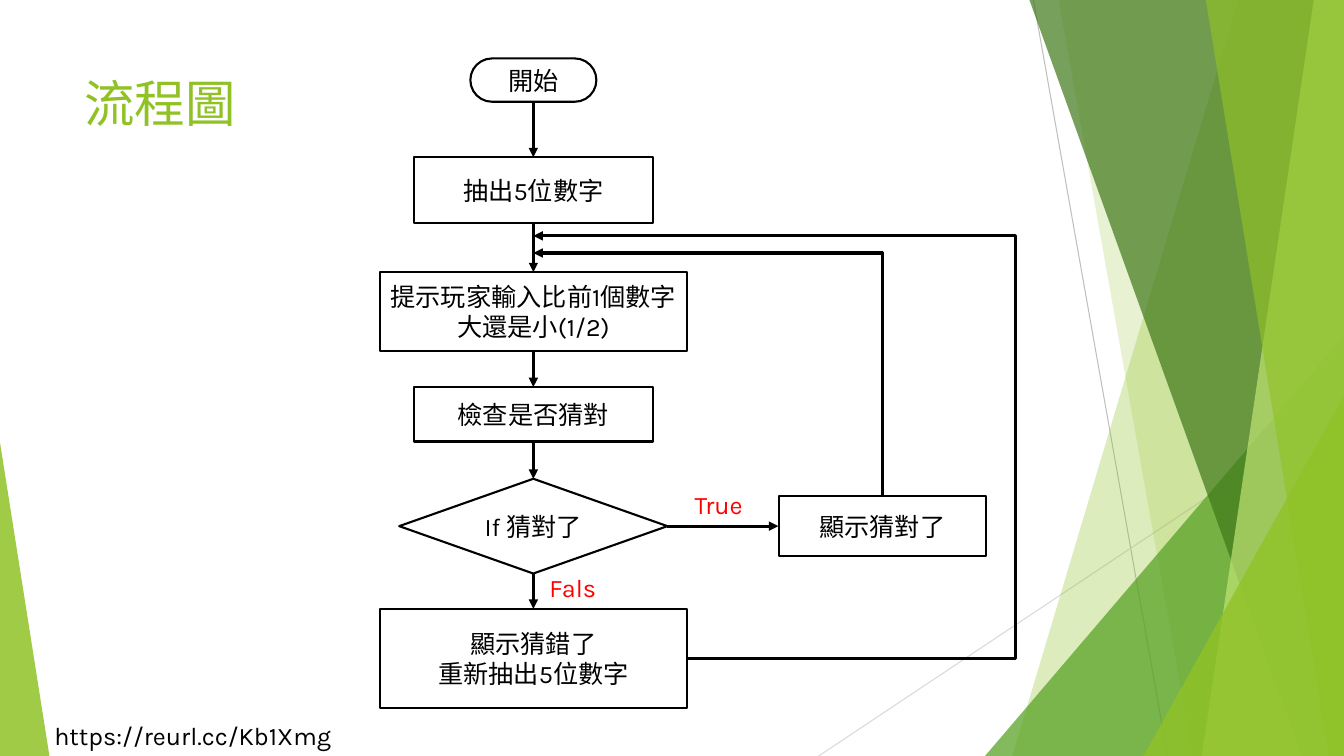
from dataclasses import dataclass

import lxml.etree
import pptx
import pptx.dml.color
import pptx.enum.shapes
import pptx.enum.text
import pptx.oxml.ns
import pptx.util

Inches = pptx.util.Inches
Preset = pptx.enum.shapes.MSO_SHAPE
Anchor = pptx.enum.text.MSO_ANCHOR
Align = pptx.enum.text.PP_ALIGN
qn = pptx.oxml.ns.qn

FONT = "Karla"
WIDTH, HEIGHT = 13.33, 7.5
AXIS = 5.29
COLORS = {
    "black": "000000", "white": "FFFFFF", "red": "FF0000",
    "lime": "90C226", "green": "54A021", "forest": "3F7819", "pale": "C0E474",
    "gray": "BFBFBF", "light_gray": "D9D9D9",
}


@dataclass
class Band:
    top_x: float
    bottom_x: float
    color: str
    opacity: int


@dataclass
class Corner:
    left: float
    top: float
    width: float
    apex: float
    color: str
    opacity: int


@dataclass
class Step:
    center_x: float
    top: float
    width: float
    height: float
    lines: list[str]
    preset: Preset = Preset.RECTANGLE


@dataclass
class Label:
    left: float
    top: float
    width: float
    height: float
    text: str
    color: str
    size: int = 18
    wrap: bool = False


@dataclass
class Link:
    start: tuple[float, float]
    end: tuple[float, float]
    color: str = "black"
    width: float = 2.25
    arrow: str | None = "tailEnd"
    preset: str = "line"
    bend: int | None = None


DECORATION = [
    Band(12.28, 10.04, "lime", 30),
    Band(10.5, 11.83, "lime", 20),
    Corner(9.77, 3.33, 3.56, 1, "green", 72),
    Band(10.21, 12.91, "forest", 70),
    Band(13.03, 11.92, "pale", 70),
    Band(11.96, 13.18, "lime", 65),
    Corner(11.34, 3.93, 1.99, 1, "lime", 80),
    Corner(0, 4.39, 0.49, 0, "lime", 85),
]
THIN_LINES = [
    Link((10.25, 0), (11.58, HEIGHT), "gray", 0.75, None),
    Link((WIDTH, 4.03), (8.12, HEIGHT), "light_gray", 0.75, None),
]
FLOW = [
    Step(AXIS, 0.58, 1.25, 0.43, ["開始"], Preset.ROUNDED_RECTANGLE),
    Step(AXIS, 1.56, 2.37, 0.65, ["抽出5位數字"]),
    Step(AXIS, 2.7, 3.05, 0.78, ["提示玩家輸入比前1個數字大還是小(1/2)"]),
    Step(AXIS, 3.84, 2.37, 0.54, ["檢查是否猜對"]),
    Step(AXIS, 4.75, 2.66, 0.94, ["If 猜對了"], Preset.DIAMOND),
    Step(AXIS, 6.04, 3.05, 0.98, ["顯示猜錯了", "重新抽出5位數字"]),
]
CORRECT = Step(8.75, 4.92, 2.05, 0.6, ["顯示猜對了"])
LABELS = [
    Label(0.44, 7.1, 3.06, 0.4, "https://reurl.cc/Kb1Xmg", "black"),
    Label(0.74, 0.67, 9.4, 1.44, "流程圖", "lime", 36, True),
    Label(6.79, 4.81, 0.7, 0.4, "True", "red"),
    Label(5.35, 5.63, 0.78, 0.4, "False", "red"),
]
BRANCHES = [
    Link((6.62, 5.22), (7.72, 5.22)),
    Link((6.81, 6.53), (AXIS, 2.34), preset="bentConnector3", bend=-214800),
    Link((AXIS, 2.51), (8.75, 4.92), arrow="headEnd", preset="bentConnector2"),
]


def rgb(name: str) -> pptx.dml.color.RGBColor:
    return pptx.dml.color.RGBColor.from_string(COLORS[name])


def add_run(paragraph, text: str, color: str, size: int) -> None:
    run = paragraph.add_run()
    run.text = text
    run.font.name = FONT
    run.font.size = pptx.util.Pt(size)
    run.font.color.rgb = rgb(color)


def draw_decoration(slide, item: Band | Corner) -> None:
    if isinstance(item, Band):
        builder = slide.shapes.build_freeform(Inches(item.top_x), 0)
        corners = [(WIDTH, 0), (WIDTH, HEIGHT), (item.bottom_x, HEIGHT)]
        builder.add_line_segments([(Inches(x), Inches(y)) for x, y in corners])
        shape = builder.convert_to_shape()
    else:
        shape = slide.shapes.add_shape(
            Preset.ISOSCELES_TRIANGLE, Inches(item.left), Inches(item.top),
            Inches(item.width), Inches(HEIGHT - item.top))
        shape.adjustments[0] = item.apex
    shape.shadow.inherit = False
    shape.line.fill.background()
    shape.fill.solid()
    shape.fill.fore_color.rgb = rgb(item.color)
    color_element = shape.fill._xPr.find(qn("a:solidFill"))[0]
    alpha = lxml.etree.SubElement(color_element, qn("a:alpha"))
    alpha.set("val", str(item.opacity * 1000))


def draw_step(slide, step: Step) -> None:
    shape = slide.shapes.add_shape(
        step.preset, Inches(step.center_x - step.width / 2), Inches(step.top),
        Inches(step.width), Inches(step.height))
    if step.preset == Preset.ROUNDED_RECTANGLE:
        shape.adjustments[0] = 0.5
    shape.shadow.inherit = False
    shape.fill.solid()
    shape.fill.fore_color.rgb = rgb("white")
    shape.line.color.rgb = rgb("black")
    shape.line.width = pptx.util.Pt(1.5)
    frame = shape.text_frame
    frame.word_wrap = True
    frame.vertical_anchor = Anchor.MIDDLE
    for index, text in enumerate(step.lines):
        paragraph = frame.add_paragraph() if index else frame.paragraphs[0]
        paragraph.alignment = Align.CENTER
        add_run(paragraph, text, "black", 18)


def draw_label(slide, label: Label) -> None:
    box = slide.shapes.add_textbox(
        Inches(label.left), Inches(label.top), Inches(label.width), Inches(label.height))
    box.text_frame.word_wrap = label.wrap
    add_run(box.text_frame.paragraphs[0], label.text, label.color, label.size)


def draw_link(slide, link: Link) -> None:
    points = [Inches(value) for value in link.start + link.end]
    connector = slide.shapes.add_connector(
        pptx.enum.shapes.MSO_CONNECTOR.STRAIGHT, *points)
    connector.line.color.rgb = rgb(link.color)
    connector.line.width = pptx.util.Pt(link.width)
    properties = connector._element.spPr
    geometry = properties.find(qn("a:prstGeom"))
    geometry.set("prst", link.preset)
    if link.bend is not None:
        guide = lxml.etree.SubElement(geometry.find(qn("a:avLst")), qn("a:gd"))
        guide.set("name", "adj1")
        guide.set("fmla", f"val {link.bend}")
    if link.arrow:
        arrow = lxml.etree.SubElement(properties.find(qn("a:ln")), qn(f"a:{link.arrow}"))
        arrow.set("type", "triangle")
    lxml.etree.SubElement(properties, qn("a:effectLst"))


def main() -> None:
    presentation = pptx.Presentation()
    presentation.slide_width = Inches(WIDTH)
    presentation.slide_height = Inches(HEIGHT)
    slide = presentation.slides.add_slide(presentation.slide_layouts[6])
    for line in THIN_LINES:
        draw_link(slide, line)
    for item in DECORATION:
        draw_decoration(slide, item)
    for label in LABELS:
        draw_label(slide, label)
    for step in FLOW + [CORRECT]:
        draw_step(slide, step)
    for upper, lower in zip(FLOW, FLOW[1:]):
        draw_link(slide, Link((AXIS, upper.top + upper.height), (AXIS, lower.top)))
    for branch in BRANCHES:
        draw_link(slide, branch)
    presentation.save("out.pptx")


if __name__ == "__main__":
    main()
